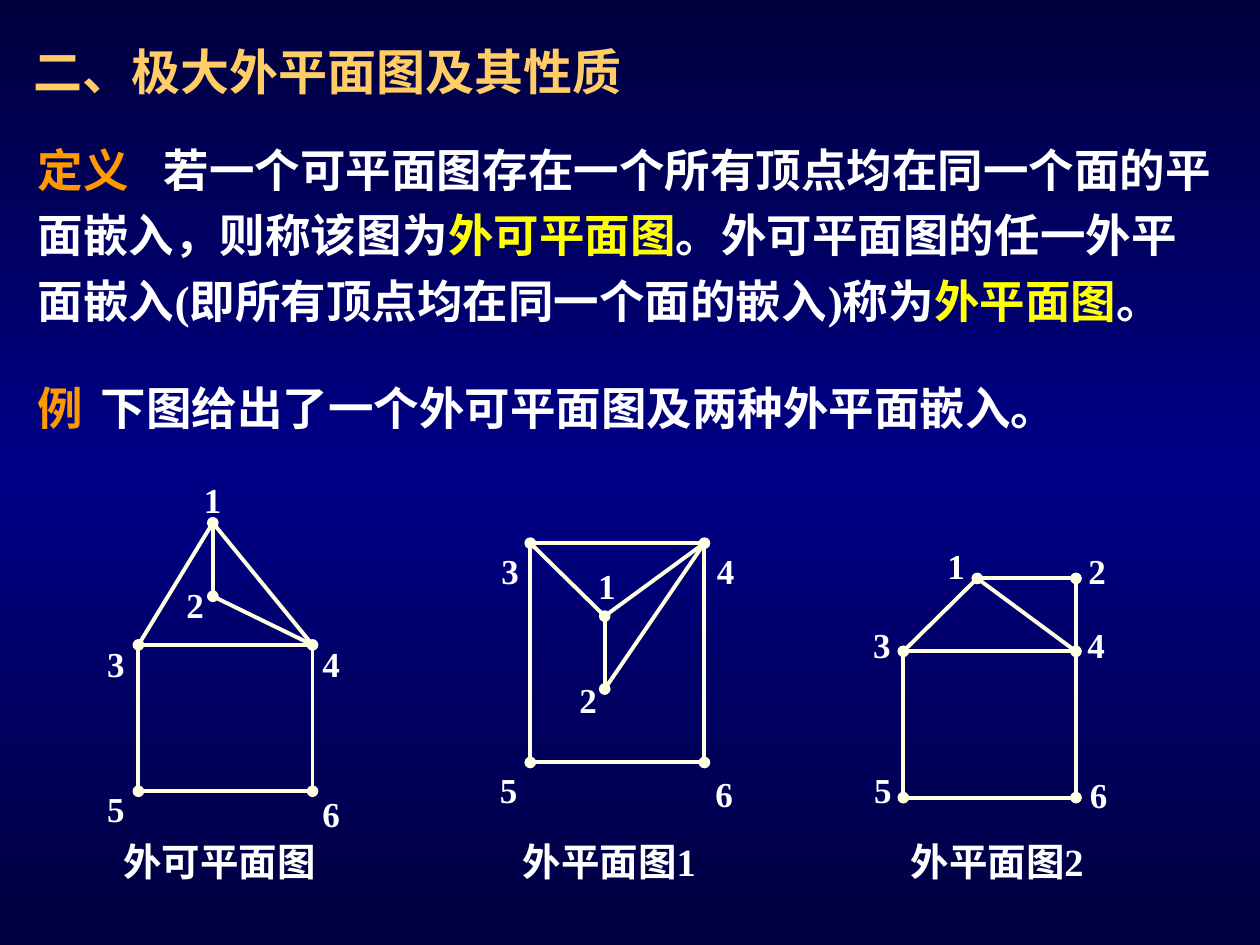
"""Build a slide on outerplanar graphs with three drawn examples."""
from copy import deepcopy
from itertools import chain

from lxml import etree
from pptx import Presentation
from pptx import util as u
from pptx.dml.color import RGBColor
from pptx.enum import shapes, text
from pptx.oxml import ns

WHITE = RGBColor(0xFF, 0xFF, 0xFF)
YELLOW = RGBColor(0xFF, 0xFF, 0x00)
ORANGE = RGBColor(0xFF, 0x99, 0x00)
GOLD = RGBColor(0xFF, 0xCC, 0x66)
CREAM = RGBColor(0xFF, 0xFF, 0xE1)
NAVY = RGBColor(0x00, 0x00, 0x3E)
BLUE = RGBColor(0x00, 0x00, 0x86)
SANS, SERIF = "Arial", "Times New Roman"

EDGES = [
    (1, 3, ()), (3, 4, ("headEnd", "tailEnd")), (5, 6, ("headEnd", "tailEnd")),
    (3, 5, ()), (4, 6, ()), (1, 4, ("headEnd",)), (1, 2, ("tailEnd",)), (2, 4, ()),
]

GRAPHS = [
    ("外可平面图", 2.24,
     [(4.29, 10.54), (4.29, 12.02), (2.79, 13), (6.3, 13), (2.79, 15.95), (6.3, 15.95)],
     [(3.86, 9.53), (3.51, 11.63), (1.91, 12.83), (6.25, 12.83), (1.91, 15.75), (6.25, 15.85)]),
    ("外平面图1", 10.29,
     [(12.19, 12.42), (12.19, 13.89), (10.69, 10.95), (14.2, 10.95), (10.69, 15.37), (14.2, 15.37)],
     [(11.81, 11.25), (11.43, 13.56), (9.86, 10.95), (14.2, 10.95), (9.83, 15.37), (14.17, 15.44)]),
    ("外平面图2", 18.11,
     [(19.7, 11.66), (21.69, 11.66), (18.21, 13.13), (21.69, 13.13), (18.21, 16.08), (21.69, 16.08)],
     [(18.85, 10.85), (21.69, 10.95), (17.35, 12.45), (21.67, 12.45), (17.37, 15.37), (21.72, 15.47)]),
]

DEFINITION = [
    ("定义\t", ORANGE, SANS),
    ("若一个可平面图存在一个所有顶点均在同一个面的平面嵌入，则称该图为", WHITE, SANS),
    ("外可平面图", YELLOW, SANS),
    ("。外可平面图的任一外平面嵌入", WHITE, SANS),
    ("(", WHITE, SERIF),
    ("即所有顶点均在同一个面的嵌入", WHITE, SANS),
    (")", WHITE, SERIF),
    ("称为", WHITE, SANS),
    ("外平面图", YELLOW, SANS),
    ("。", WHITE, SANS),
]
EXAMPLE = [
    ("例\t", ORANGE, SERIF),
    ("下图给出了一个外可平面图及两种外平面嵌入。", WHITE, SERIF),
]


class Painter:
    """Hold the style and the current slide."""

    def __init__(self, page):
        self.page = page
        self.line_width = u.Pt(2.25)
        self.label_size = 20
        self.caption_size = 22

    def background(self, colors):
        fill = self.page.background.fill
        fill.gradient()
        fill.gradient_angle = 90
        stops = next(self.page.element.iter(ns.qn("a:gsLst")))
        stops.append(deepcopy(stops[-1]))
        for index, (stop, color) in enumerate(zip(fill.gradient_stops, colors)):
            stop.color.rgb = color
            stop.position = index / (len(colors) - 1)

    def letter(self, box, spans, size, spacing=1.0, tab=None, wrap=True):
        frame = box.text_frame
        frame.word_wrap = wrap
        frame.auto_size = text.MSO_AUTO_SIZE.SHAPE_TO_FIT_TEXT
        frame.vertical_anchor = text.MSO_ANCHOR.TOP
        para = frame.paragraphs[0]
        para.alignment = text.PP_ALIGN.LEFT
        para.line_spacing = spacing
        para.space_before = u.Pt(0)
        properties = para._p.get_or_add_pPr()
        properties.set("marL", "0")
        properties.set("indent", "0")
        etree.SubElement(properties, ns.qn("a:buNone"))
        if tab:
            tabs = etree.SubElement(properties, ns.qn("a:tabLst"))
            etree.SubElement(tabs, ns.qn("a:tab"), pos=str(u.Cm(tab)), algn="l")
        for words, color, font in spans:
            span = para.add_run()
            span.text = words
            span.font.name = font
            span.font.size = u.Pt(size)
            span.font.bold = True
            span.font.color.rgb = color

    def placeholder(self, box, area, spans, size, **style):
        box.left, box.top, box.width, box.height = map(u.Cm, area)
        self.letter(box, spans, size, **style)

    def textbox(self, parent, area, spans, size, **style):
        box = parent.shapes.add_textbox(*map(u.Cm, area))
        self.letter(box, spans, size, **style)

    def edge(self, parent, start, end, dots):
        edge = parent.shapes.add_connector(
            shapes.MSO_CONNECTOR.STRAIGHT, *map(u.Cm, chain(start, end)))
        edge.line.color.rgb = CREAM
        edge.line.width = self.line_width
        outline = edge.element.spPr.find(ns.qn("a:ln"))
        for dot in dots:
            etree.SubElement(outline, ns.qn(f"a:{dot}"), type="oval")
        etree.SubElement(edge.element.spPr, ns.qn("a:effectLst"))

    def graph(self, caption, left, vertices, labels):
        group = self.page.shapes.add_group_shape()
        for start, end, dots in EDGES:
            self.edge(group, vertices[start - 1], vertices[end - 1], dots)
        for number, (x, y) in enumerate(labels, 1):
            self.textbox(group, (x, y, 0.86, 1.12), [(str(number), WHITE, SERIF)],
                         self.label_size, wrap=False)
        self.textbox(group, (left, 16.76, 4.8, 1.19), [(caption, WHITE, SERIF)],
                     self.caption_size)


def main():
    deck = Presentation()
    deck.slide_width, deck.slide_height = u.Cm(25.4), u.Cm(19.05)
    page = deck.slides.add_slide(deck.slide_layouts[1])
    painter = Painter(page)
    painter.background([NAVY, BLUE, NAVY])
    painter.placeholder(page.shapes.title, (0.43, 0.71, 12.85, 1.45),
                        [("二、极大外平面图及其性质", GOLD, SANS)], 28)
    painter.placeholder(page.placeholders[1], (0.51, 2.51, 24.2, 5.54),
                        DEFINITION, 26, spacing=1.2, tab=2.22)
    painter.textbox(page, (0.51, 7.32, 23.8, 1.57), EXAMPLE, 26, spacing=1.2, tab=1.53)
    for graph in GRAPHS:
        painter.graph(*graph)
    deck.save("out.pptx")


if __name__ == "__main__":
    main()
